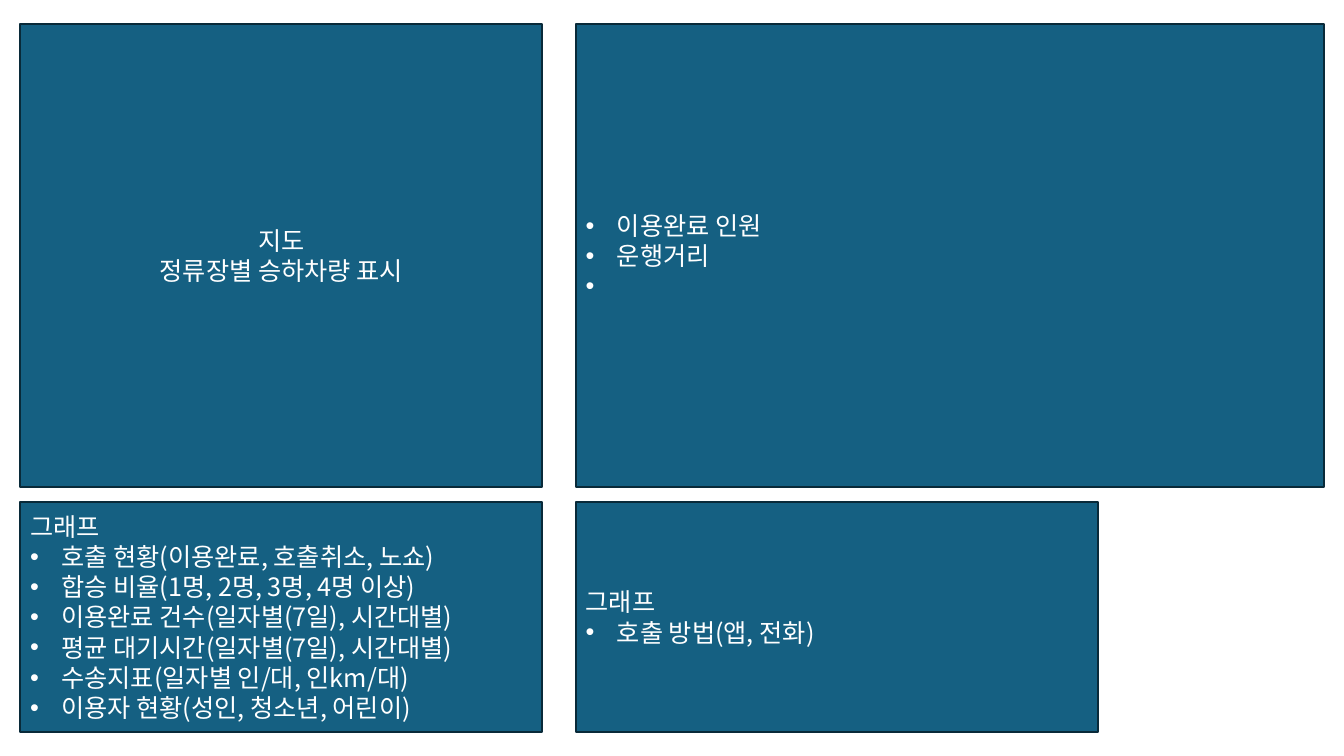
from lxml import etree
from pptx import Presentation
from pptx.dml.color import RGBColor
from pptx.enum import shapes, text
from pptx.oxml import ns
from pptx.util import Inches, Pt

FONT = "Noto Sans CJK KR"
BLUE = RGBColor(0x15, 0x60, 0x82)
NAVY = RGBColor(0x09, 0x2A, 0x39)
WHITE = RGBColor(0xFF, 0xFF, 0xFF)
LEFT = text.PP_ALIGN.LEFT
CENTER = text.PP_ALIGN.CENTER

COLUMNS = (0.2, 5.71)
ROWS = ((0.24, 4.59), (4.98, 2.28))
NARROW, WIDE = 5.18, 7.42
INDENT = 0.31

PANELS = [
    dict(column=0, row=0, width=NARROW, align=CENTER,
         heads=["지도", "정류장별 승하차량 표시"], bullets=[]),
    dict(column=0, row=1, width=NARROW, align=LEFT, heads=["그래프"],
         bullets=[
             "호출 현황(이용완료, 호출취소, 노쇼)",
             "합승 비율(1명, 2명, 3명, 4명 이상)",
             "이용완료 건수(일자별(7일), 시간대별)",
             "평균 대기시간(일자별(7일), 시간대별)",
             "수송지표(일자별 인/대, 인km/대)",
             "이용자 현황(성인, 청소년, 어린이)",
         ]),
    dict(column=1, row=0, width=WIDE, align=LEFT, heads=[],
         bullets=["이용완료 인원", "운행거리", " "]),
    dict(column=1, row=1, width=NARROW, align=LEFT, heads=["그래프"],
         bullets=["호출 방법(앱, 전화)"]),
]


def write_line(para, words, align=LEFT, bullet=False, size=18, color=WHITE):
    para.alignment = align
    span = para.add_run()
    span.text = words
    span.font.size = Pt(size)
    span.font.name = FONT
    span.font.color.rgb = color
    east_asian = etree.SubElement(span.font._element, ns.qn("a:ea"))
    east_asian.set("typeface", FONT)
    if bullet:
        properties = para._p.get_or_add_pPr()
        properties.set("marL", str(Inches(INDENT)))
        properties.set("indent", str(-Inches(INDENT)))
        etree.SubElement(properties, ns.qn("a:buFont")).set("typeface", "Arial")
        etree.SubElement(properties, ns.qn("a:buChar")).set("char", "•")


def add_panel(page, column, row, width, align, heads, bullets):
    top, height = ROWS[row]
    box = page.shapes.add_shape(
        shapes.MSO_SHAPE.RECTANGLE, Inches(COLUMNS[column]), Inches(top),
        Inches(width), Inches(height))
    box.shadow.inherit = False
    box.fill.solid()
    box.fill.fore_color.rgb = BLUE
    box.line.color.rgb = NAVY
    box.line.width = Pt(1.5)
    frame = box.text_frame
    frame.word_wrap = True
    frame.vertical_anchor = text.MSO_ANCHOR.MIDDLE
    lines = [(words, False) for words in heads]
    lines += [(words, True) for words in bullets]
    for number, (words, bullet) in enumerate(lines):
        para = frame.add_paragraph() if number else frame.paragraphs[0]
        write_line(para, words, align=align, bullet=bullet)


def main():
    deck = Presentation()
    deck.slide_width = Inches(13.33)
    deck.slide_height = Inches(7.5)
    page = deck.slides.add_slide(deck.slide_layouts[6])
    for panel in PANELS:
        add_panel(page, **panel)
    deck.save("out.pptx")


if __name__ == "__main__":
    main()
